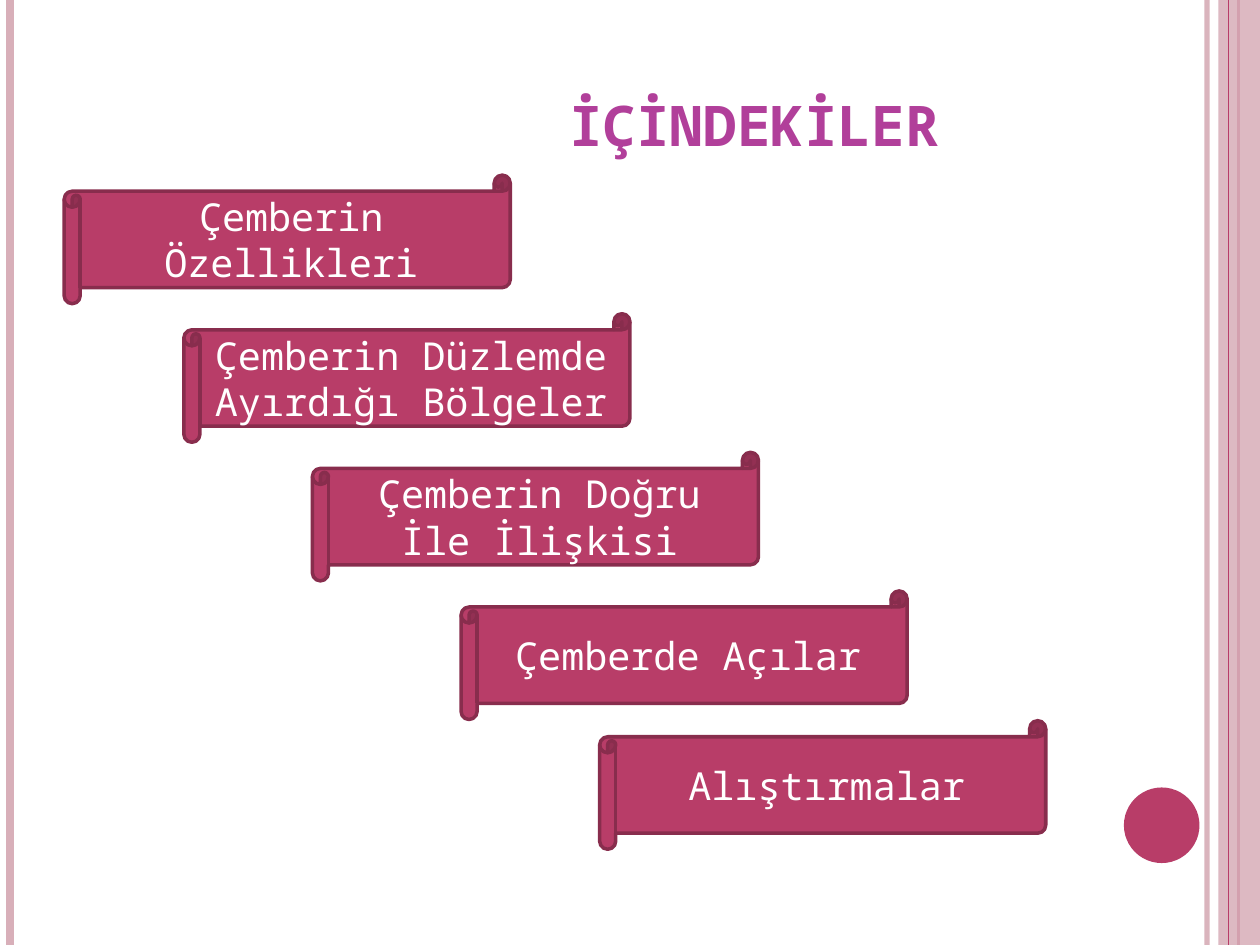
"""Builds the contents slide on circles, with scroll banners stepping down to the right."""
from pptx import Presentation
from pptx.dml.color import RGBColor
from pptx.enum import shapes, text
from pptx.oxml import ns
from pptx.util import Inches, Pt
from lxml import etree

FONT = "Noto Sans Mono"
ROSE, PALE, DARK, PURPLE, WHITE = "B83D68", "D8AFB9", "882D4D", "B13F9A", "FFFFFF"
TITLE = "İÇİNDEKİLER"
BANNERS = [
    ("Çemberin Özellikleri", 0.51, 1.39),
    ("Çemberin Düzlemde Ayırdığı Bölgeler", 1.46, 2.49),
    ("Çemberin Doğru İle İlişkisi", 2.48, 3.59),
    ("Çemberde Açılar", 3.66, 4.69),
    ("Alıştırmalar", 4.76, 5.72),
]
BACK_RULES = [(9.58, PALE, 3, 93), (0.08, PALE, 4.5, 100), (9.83, ROSE, 1.5, 100)]
FRONT_RULE = (9.75, ROSE, 0.75, 100)


def paint(target, color, opacity=100):
    target.solid()
    target.fore_color.rgb = RGBColor.from_string(color)
    if opacity < 100:
        element = target._xPr.find(".//" + ns.qn("a:srgbClr"))
        etree.SubElement(element, ns.qn("a:alpha")).set("val", str(opacity * 1000))


def add_rule(page, x, color, width, opacity):
    rule = page.shapes.add_connector(
        shapes.MSO_CONNECTOR.STRAIGHT, Inches(x), 0, Inches(x), Inches(7.5))
    rule.line.width = Pt(width)
    paint(rule.line.fill, color, opacity)
    etree.SubElement(rule._element.spPr, ns.qn("a:effectLst"))


def add_box(page, preset, place, color, opacity=100):
    box = page.shapes.add_shape(preset, *map(Inches, place))
    box.shadow.inherit = False
    paint(box.fill, color, opacity)
    box.line.fill.background()
    return box


def write(box, words, size, color, anchor, bold=False):
    frame = box.text_frame
    frame.word_wrap = True
    frame.vertical_anchor = anchor
    para = frame.paragraphs[0]
    para.alignment = text.PP_ALIGN.CENTER
    span = para.add_run()
    span.text = words
    span.font.name, span.font.size, span.font.bold = FONT, Pt(size), bold
    span.font.color.rgb = RGBColor.from_string(color)


def add_title(page):
    title = page.shapes.title
    title.left, title.top, title.width, title.height = map(Inches, (0.42, 0, 8.17, 1.25))
    title.text_frame.margin_left = Inches(3.06)
    title.text_frame.margin_bottom = 0
    write(title, TITLE, 32, PURPLE, text.MSO_ANCHOR.BOTTOM, bold=True)


def add_banner(page, words, left, top):
    preset = shapes.MSO_SHAPE.HORIZONTAL_SCROLL
    banner = add_box(page, preset, (left, top, 3.54, 1.02), ROSE)
    paint(banner.line.fill, DARK)
    banner.line.width = Pt(2)
    write(banner, words, 22, WHITE, text.MSO_ANCHOR.MIDDLE)


def main():
    deck = Presentation()
    deck.slide_width, deck.slide_height = Inches(10), Inches(7.5)
    page = deck.slides.add_slide(deck.slide_layouts[5])
    paint(page.background.fill, WHITE)
    for rule in BACK_RULES:
        add_rule(page, *rule)
    add_box(page, shapes.MSO_SHAPE.RECTANGLE, (9.67, 0, 0.33, 7.5), PALE, 87)
    add_rule(page, *FRONT_RULE)
    add_box(page, shapes.MSO_SHAPE.OVAL, (8.92, 6.25, 0.6, 0.6), ROSE)
    add_title(page)
    for banner in BANNERS:
        add_banner(page, *banner)
    deck.save("out.pptx")


if __name__ == "__main__":
    main()
